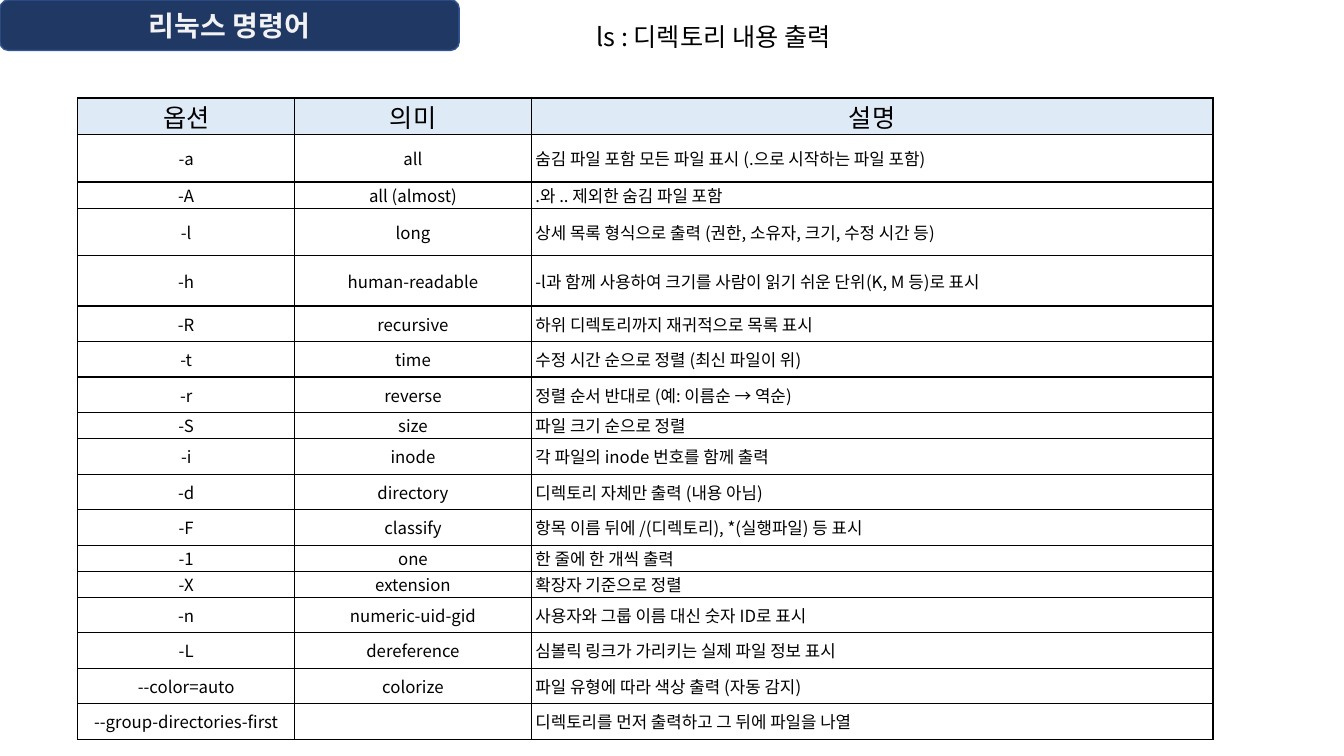
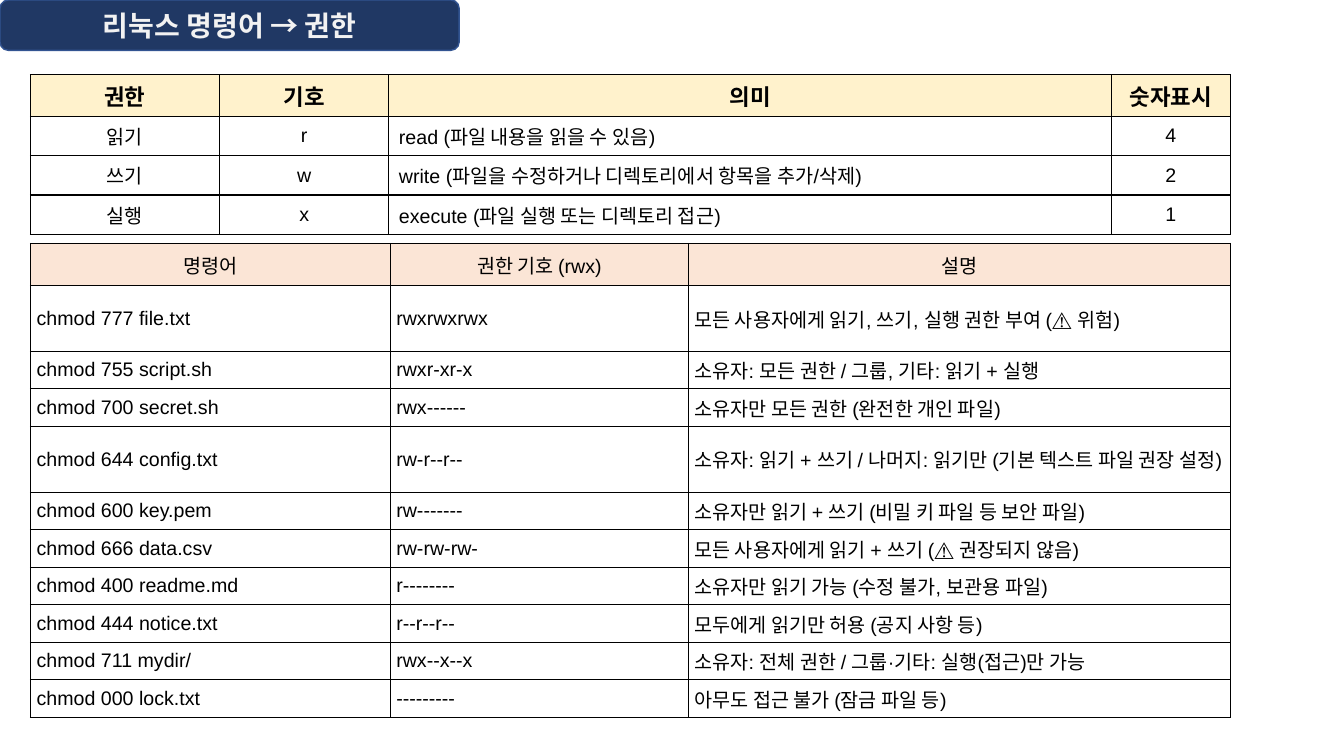
from dataclasses import dataclass

from lxml.etree import SubElement
from pptx import Presentation
from pptx.dml.color import RGBColor
from pptx.enum.shapes import MSO_SHAPE
from pptx.enum.text import MSO_ANCHOR, MSO_AUTO_SIZE, PP_ALIGN
from pptx.oxml.ns import qn
from pptx.util import Pt


@dataclass(frozen=True)
class Theme:
    navy: str = "203864"
    navy_line: str = "325491"
    title_text: str = "F2F2F2"
    black: str = "000000"
    blue_header: str = "DEEBF7"
    yellow_header: str = "FFF2CC"
    peach_header: str = "FBE5D6"
    korean_font: str = "Noto Sans CJK KR"
    latin_font: str = "Arial"
    title_size: float = 20
    subtitle_size: float = 18
    column_title_size: float = 16
    body_size: float = 14
    small_size: float = 12


THEME = Theme()


@dataclass(frozen=True)
class TableStyle:
    """Look of one table; margins are (side, top and bottom)."""
    header_fill: str
    font: str
    header_size: float
    body_size: float
    margins: tuple
    centered_columns: tuple = ()
    header_bold: bool = False


OPTION_STYLE = TableStyle(THEME.blue_header, THEME.korean_font, THEME.subtitle_size,
                          THEME.small_size, (3, 0), (0, 1))
PERMISSION_STYLE = TableStyle(THEME.yellow_header, THEME.latin_font, THEME.column_title_size,
                              THEME.body_size, (7.2, 3.6), (0, 1, 3), True)
CHMOD_STYLE = TableStyle(THEME.peach_header, THEME.latin_font, THEME.body_size,
                         THEME.body_size, (4.3, 2))

OPTION_ROWS = [
    ("옵션", "의미", "설명"),
    ("-a", "all", "숨김 파일 포함 모든 파일 표시 (.으로 시작하는 파일 포함)"),
    ("-A", "all (almost)", ".와 .. 제외한 숨김 파일 포함"),
    ("-l", "long", "상세 목록 형식으로 출력 (권한, 소유자, 크기, 수정 시간 등)"),
    ("-h", "human-readable", "-l과 함께 사용하여 크기를 사람이 읽기 쉬운 단위(K, M 등)로 표시"),
    ("-R", "recursive", "하위 디렉토리까지 재귀적으로 목록 표시"),
    ("-t", "time", "수정 시간 순으로 정렬 (최신 파일이 위)"),
    ("-r", "reverse", "정렬 순서 반대로 (예: 이름순 → 역순)"),
    ("-S", "size", "파일 크기 순으로 정렬"),
    ("-i", "inode", "각 파일의 inode 번호를 함께 출력"),
    ("-d", "directory", "디렉토리 자체만 출력 (내용 아님)"),
    ("-F", "classify", "항목 이름 뒤에 /(디렉토리), *(실행파일) 등 표시"),
    ("-1", "one", "한 줄에 한 개씩 출력"),
    ("-X", "extension", "확장자 기준으로 정렬"),
    ("-n", "numeric-uid-gid", "사용자와 그룹 이름 대신 숫자 ID로 표시"),
    ("-L", "dereference", "심볼릭 링크가 가리키는 실제 파일 정보 표시"),
    ("--color=auto", "colorize", "파일 유형에 따라 색상 출력 (자동 감지)"),
    ("--group-directories-first", "", "디렉토리를 먼저 출력하고 그 뒤에 파일을 나열"),
]
TIGHT, NORMAL, TALL = 18.7, 25.35, 34
OPTION_HEIGHTS = ([26, TALL, TIGHT, TALL, 36] + [NORMAL] * 3 + [TIGHT]
                  + [NORMAL] * 3 + [TIGHT] * 2 + [NORMAL] * 4)

PERMISSION_ROWS = [
    ("권한", "기호", "의미", "숫자표시"),
    ("읽기", "r", "read (파일 내용을 읽을 수 있음)", "4"),
    ("쓰기", "w", "write (파일을 수정하거나 디렉토리에서 항목을 추가/삭제)", "2"),
    ("실행", "x", "execute (파일 실행 또는 디렉토리 접근)", "1"),
]
PERMISSION_HEIGHTS = [30] + [28] * 3

CHMOD_ROWS = [
    ("명령어", "권한 기호 (rwx)", "설명"),
    ("chmod 777 file.txt", "rwxrwxrwx", "모든 사용자에게 읽기, 쓰기, 실행 권한 부여 (⚠️ 위험)"),
    ("chmod 755 script.sh", "rwxr-xr-x", "소유자: 모든 권한 / 그룹, 기타: 읽기 + 실행"),
    ("chmod 700 secret.sh", "rwx------", "소유자만 모든 권한 (완전한 개인 파일)"),
    ("chmod 644 config.txt", "rw-r--r--",
     "소유자: 읽기 + 쓰기 / 나머지: 읽기만 (기본 텍스트 파일 권장 설정)"),
    ("chmod 600 key.pem", "rw-------", "소유자만 읽기 + 쓰기 (비밀 키 파일 등 보안 파일)"),
    ("chmod 666 data.csv", "rw-rw-rw-", "모든 사용자에게 읽기 + 쓰기 (⚠️ 권장되지 않음)"),
    ("chmod 400 readme.md", "r--------", "소유자만 읽기 가능 (수정 불가, 보관용 파일)"),
    ("chmod 444 notice.txt", "r--r--r--", "모두에게 읽기만 허용 (공지 사항 등)"),
    ("chmod 711 mydir/", "rwx--x--x", "소유자: 전체 권한 / 그룹·기타: 실행(접근)만 가능"),
    ("chmod 000 lock.txt", "---------", "아무도 접근 불가 (잠금 파일 등)"),
]
CHMOD_HEIGHTS = [30, 47] + [26.8] * 2 + [47] + [26.8] * 6


def add_run(paragraph, text, size, font_name=THEME.korean_font, color=THEME.black, bold=False):
    run = paragraph.add_run()
    run.text = text
    font = run.font
    font.size = Pt(size)
    font.bold = bold
    font.color.rgb = RGBColor.from_string(color)
    font.name = font_name
    SubElement(font._element, qn("a:ea"), typeface=THEME.korean_font)


def add_title_band(slide, text):
    shape = slide.shapes.add_shape(MSO_SHAPE.ROUNDED_RECTANGLE, Pt(0), Pt(0), Pt(328), Pt(36))
    shape.shadow.inherit = False
    shape.fill.solid()
    shape.fill.fore_color.rgb = RGBColor.from_string(THEME.navy)
    shape.line.color.rgb = RGBColor.from_string(THEME.navy_line)
    shape.line.width = Pt(1)
    shape.text_frame.vertical_anchor = MSO_ANCHOR.MIDDLE
    paragraph = shape.text_frame.paragraphs[0]
    paragraph.alignment = PP_ALIGN.CENTER
    add_run(paragraph, text, THEME.title_size, color=THEME.title_text, bold=True)


def add_subtitle(slide, text):
    shape = slide.shapes.add_textbox(Pt(419), Pt(11.5), Pt(202), Pt(29))
    shape.text_frame.word_wrap = False
    shape.text_frame.auto_size = MSO_AUTO_SIZE.SHAPE_TO_FIT_TEXT
    add_run(shape.text_frame.paragraphs[0], text, THEME.subtitle_size)


def add_borders(cell):
    properties = cell._tc.get_or_add_tcPr()
    for side in ("lnL", "lnR", "lnT", "lnB"):
        line = SubElement(properties, qn(f"a:{side}"), w=str(Pt(1)))
        fill = SubElement(line, qn("a:solidFill"))
        SubElement(fill, qn("a:srgbClr"), val=THEME.black)


def format_cell(cell, text, style, is_header, centered):
    add_borders(cell)
    if is_header:
        cell.fill.solid()
        cell.fill.fore_color.rgb = RGBColor.from_string(style.header_fill)
    else:
        cell.fill.background()
    side, edge = style.margins
    cell.margin_left = cell.margin_right = Pt(side)
    cell.margin_top = cell.margin_bottom = Pt(edge)
    cell.vertical_anchor = MSO_ANCHOR.MIDDLE
    paragraph = cell.text_frame.paragraphs[0]
    paragraph.alignment = PP_ALIGN.CENTER if centered else PP_ALIGN.LEFT
    if text:
        size = style.header_size if is_header else style.body_size
        add_run(paragraph, text, size, style.font, bold=is_header and style.header_bold)


def add_grid(slide, left, top, widths, heights, rows, style):
    """Add a table whose first row is the header."""
    frame = slide.shapes.add_table(len(rows), len(widths), Pt(left), Pt(top),
                                   Pt(sum(widths)), Pt(sum(heights)))
    table = frame.table
    table.first_row = table.horz_banding = False
    for column, width in zip(table.columns, widths):
        column.width = Pt(width)
    for row_index, (row, height, texts) in enumerate(zip(table.rows, heights, rows)):
        row.height = Pt(height)
        is_header = row_index == 0
        for column_index, (cell, text) in enumerate(zip(row.cells, texts)):
            centered = is_header or column_index in style.centered_columns
            format_cell(cell, text, style, is_header, centered)


def add_titled_slide(presentation, title):
    slide = presentation.slides.add_slide(presentation.slide_layouts[6])
    add_title_band(slide, title)
    return slide


def main():
    presentation = Presentation()
    presentation.slide_width = Pt(960)
    presentation.slide_height = Pt(540)

    slide = add_titled_slide(presentation, "리눅스 명령어")
    add_subtitle(slide, "ls : 디렉토리 내용 출력")
    add_grid(slide, 55.5, 70, [155, 169, 487], OPTION_HEIGHTS, OPTION_ROWS, OPTION_STYLE)

    slide = add_titled_slide(presentation, "리눅스 명령어 → 권한")
    add_grid(slide, 21.8, 53.3, [135, 121, 516, 85], PERMISSION_HEIGHTS,
             PERMISSION_ROWS, PERMISSION_STYLE)
    add_grid(slide, 21.8, 174, [257, 213, 387], CHMOD_HEIGHTS, CHMOD_ROWS, CHMOD_STYLE)

    presentation.save("out.pptx")


if __name__ == "__main__":
    main()
